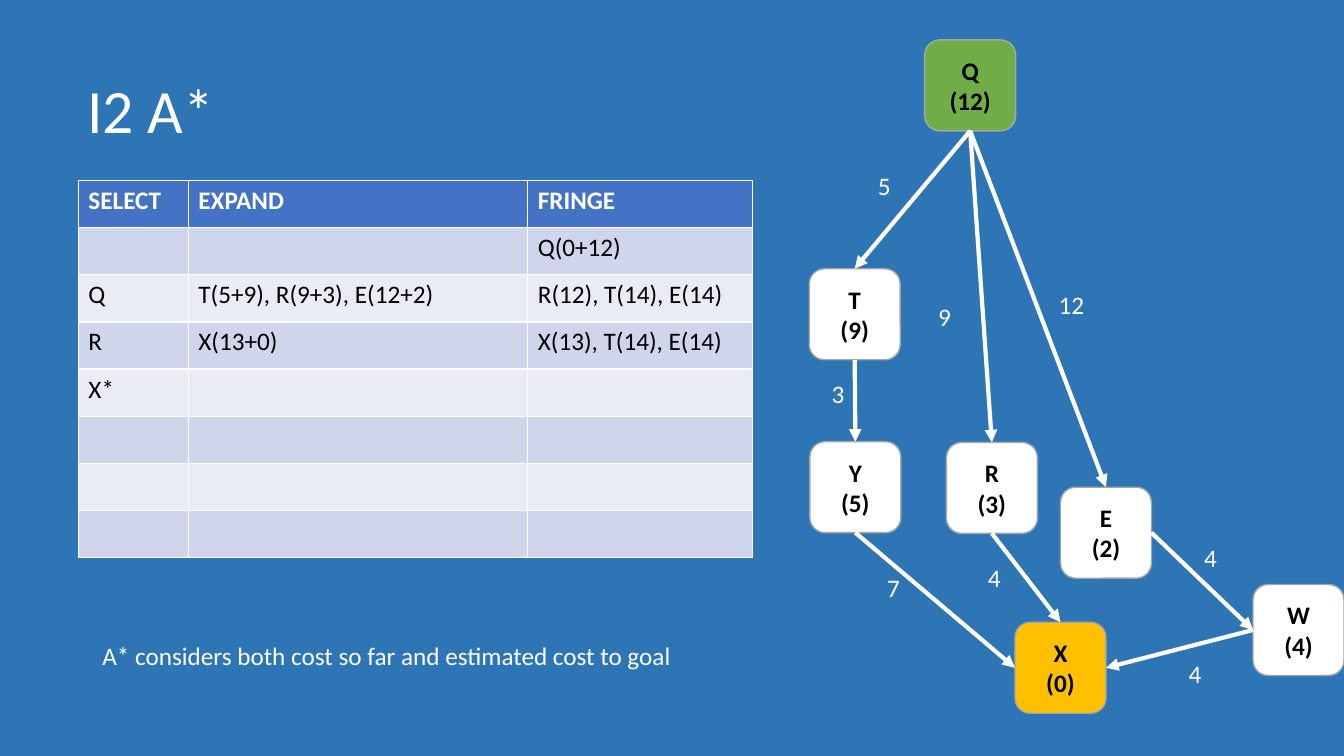
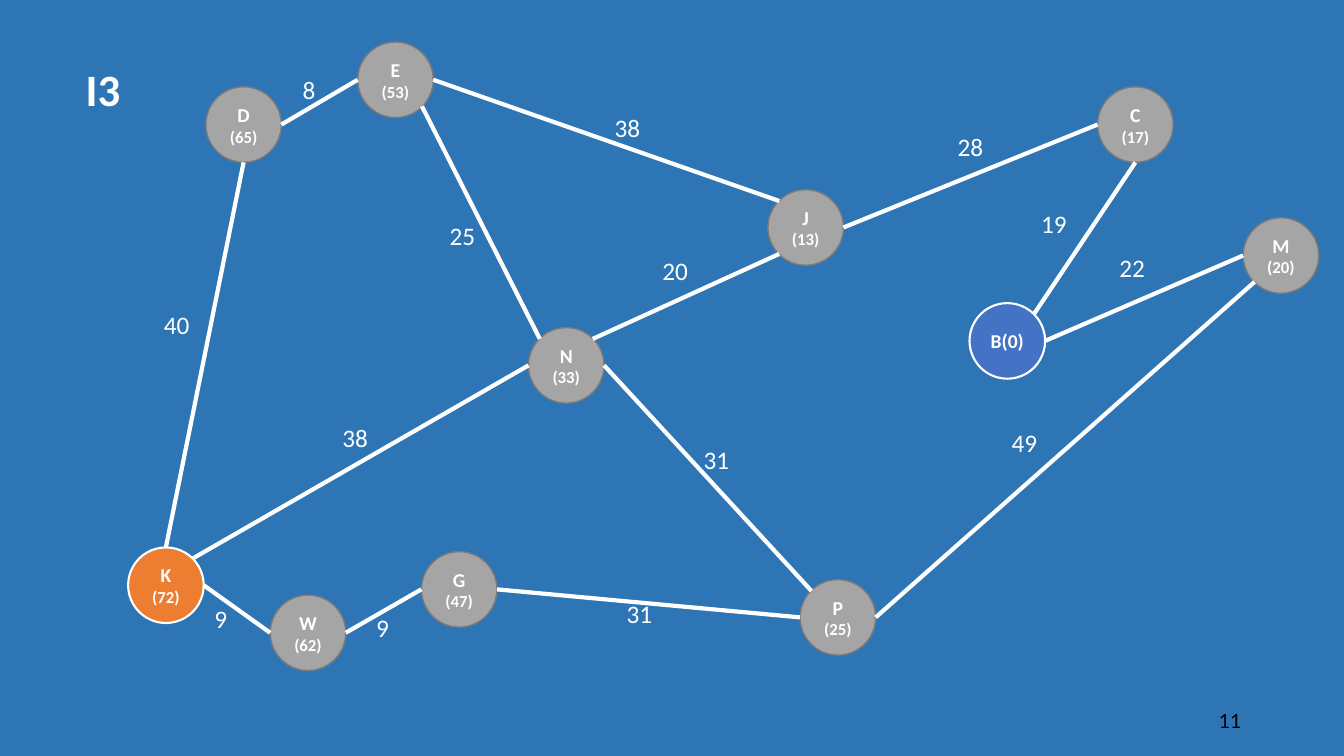
from dataclasses import dataclass

from lxml.etree import SubElement
from pptx import Presentation
from pptx.dml.color import RGBColor as Rgb
from pptx.enum.shapes import MSO_CONNECTOR as Connector, MSO_SHAPE as Preset
from pptx.enum.text import MSO_ANCHOR as Anchor, MSO_AUTO_SIZE as AutoSize, PP_ALIGN as Align
from pptx.oxml.ns import qn
from pptx.util import Pt


@dataclass(frozen=True)
class Theme:
    font: str = "Calibri"
    number_font: str = "Lato"
    background: Rgb = Rgb(0x2E, 0x75, 0xB6)
    white: Rgb = Rgb(0xFF, 0xFF, 0xFF)
    black: Rgb = Rgb(0x00, 0x00, 0x00)
    blue: Rgb = Rgb(0x44, 0x72, 0xC4)
    green: Rgb = Rgb(0x70, 0xAD, 0x47)
    gold: Rgb = Rgb(0xFF, 0xC0, 0x00)
    orange: Rgb = Rgb(0xED, 0x7D, 0x31)
    gray: Rgb = Rgb(0xA5, 0xA5, 0xA5)
    dark_gray: Rgb = Rgb(0x7A, 0x7A, 0x7A)
    row_bands: tuple = (Rgb(0xE9, 0xEB, 0xF5), Rgb(0xCF, 0xD5, 0xEA))
    body: int = 18
    node: int = 14
    estimate: int = 12
    edge: int = 3


theme = Theme()


def style_runs(frame, size, color, bold=False, align=Align.LEFT, font=theme.font):
    for paragraph in frame.paragraphs:
        paragraph.alignment = align
        for run in paragraph.runs:
            run.font.name, run.font.size, run.font.bold = font, Pt(size), bold
            run.font.color.rgb = color


def add_text(slide, text, left, top, width, height=29):
    frame = slide.shapes.add_textbox(Pt(left), Pt(top), Pt(width), Pt(height)).text_frame
    frame.text = text
    frame.word_wrap = False
    style_runs(frame, theme.body, theme.white)
    return frame


# Connection sites: position as a share of the node box, and order per outline
sites = {
    "top": (0.5, 0), "left": (0, 0.5), "bottom": (0.5, 1), "right": (1, 0.5),
    "top left": (0.15, 0.15), "bottom left": (0.15, 0.85),
    "bottom right": (0.85, 0.85), "top right": (0.85, 0.15),
}
site_order = {
    Preset.ROUNDED_RECTANGLE: ["top", "left", "bottom", "right"],
    Preset.OVAL: ["top", "top left", "left", "bottom left",
                  "bottom", "bottom right", "right", "top right"],
}

# Graphs: nodes as name: (estimate, left, top),
# edges as from, site, to, site, cost, label left, label top
astar_graph = dict(
    title="I2 A*", title_box=(55, 29, 484.5, 104.5), title_size=44, title_bold=False,
    outline=Preset.ROUNDED_RECTANGLE, node_size=65, arrows=True,
    text_color=theme.black, name_size=theme.body, estimate_size=theme.body,
    plain=(theme.white, theme.gray, 1),
    special={"Q": (theme.green, theme.gray, 1), "X": (theme.gold, theme.gray, 1)},
    nodes={
        "Q": (12, 660.5, 28.5), "T": (9, 578, 192), "Y": (5, 578.5, 315.5),
        "R": (3, 676, 316), "E": (2, 757.5, 348), "W": (4, 895, 417.5),
        "X": (0, 725, 444.5),
    },
    edges=[
        ("Q", "bottom", "T", "top", 5, 620, 118),
        ("Q", "bottom", "E", "top", 12, 749, 203),
        ("Q", "bottom", "R", "top", 9, 663, 212),
        ("T", "bottom", "Y", "top", 3, 587, 267),
        ("Y", "bottom", "X", "left", 7, 626.5, 405.5),
        ("R", "bottom", "X", "top", 4, 698.5, 398),
        ("E", "right", "W", "left", 4, 853, 384),
        ("W", "left", "X", "right", 4, 842, 466.5),
    ],
)
route_graph = dict(
    title="I3", title_box=(54, 42.5, 90, 46), title_size=32, title_bold=True,
    outline=Preset.OVAL, node_size=54, arrows=False,
    text_color=theme.white, name_size=theme.node, estimate_size=theme.estimate,
    plain=(theme.gray, theme.dark_gray, 1),
    special={"K": (theme.orange, theme.white, 1.5), "B(0)": (theme.blue, theme.white, 1.5)},
    nodes={
        "K": (72, 91.5, 391), "J": (13, 548.5, 135.5), "E": (53, 255.5, 30),
        "B(0)": (None, 692.5, 216.5), "P": (25, 571.5, 414), "C": (17, 784, 62),
        "N": (33, 377.5, 234), "D": (65, 147, 62), "G": (47, 301, 394),
        "M": (20, 888, 155.5), "W": (62, 193, 425),
    },
    edges=[
        ("K", "top", "D", "bottom", 40, 110, 217.5),
        ("K", "right", "W", "left", 9, 146, 427.5),
        ("K", "top right", "N", "left", 38, 237.5, 298),
        ("W", "right", "G", "left", 9, 261.5, 433.5),
        ("D", "right", "E", "left", 8, 209, 49.5),
        ("E", "right", "J", "top left", 38, 432, 77),
        ("E", "bottom right", "N", "top left", 25, 314, 153.5),
        ("G", "right", "P", "left", 31, 440.5, 423.5),
        ("P", "right", "M", "bottom left", 49, 715.5, 301.5),
        ("M", "left", "B(0)", "right", 22, 792.5, 177),
        ("J", "right", "C", "left", 28, 677, 90.5),
        ("C", "bottom", "B(0)", "top right", 19, 736.5, 145.5),
        ("N", "right", "P", "top left", 31, 495.5, 314),
        ("N", "top right", "J", "bottom left", 20, 466, 179),
    ],
)

deck = Presentation()
deck.slide_width, deck.slide_height = Pt(960), Pt(540)
backdrop = deck.slide_master.background.fill
backdrop.solid()
backdrop.fore_color.rgb = theme.background

for graph in (astar_graph, route_graph):
    slide = deck.slides.add_slide(deck.slide_layouts[5])

    # Title
    title = slide.shapes.title
    title.left, title.top, title.width, title.height = map(Pt, graph["title_box"])
    title.text_frame.text = graph["title"]
    title.text_frame.auto_size = AutoSize.NONE
    title.text_frame.vertical_anchor = Anchor.MIDDLE
    title.text_frame.paragraphs[0].line_spacing = 0.9
    style_runs(title.text_frame, graph["title_size"], theme.white, graph["title_bold"])

    # Nodes
    placed = {}
    size = Pt(graph["node_size"])
    for name, (estimate, left, top) in graph["nodes"].items():
        node = slide.shapes.add_shape(graph["outline"], Pt(left), Pt(top), size, size)
        fill, line, line_width = graph["special"].get(name, graph["plain"])
        node.shadow.inherit = False
        node.fill.solid()
        node.fill.fore_color.rgb = fill
        node.line.color.rgb = line
        node.line.width = Pt(line_width)
        frame = node.text_frame
        frame.text = name if estimate is None else f"{name}\n({estimate})"
        frame.vertical_anchor = Anchor.MIDDLE
        frame.margin_left = frame.margin_right = 0
        style_runs(frame, graph["name_size"], graph["text_color"], True, Align.CENTER)
        if estimate is not None:
            frame.paragraphs[1].runs[0].font.size = Pt(graph["estimate_size"])
        placed[name] = node

    # Edges, glued to their nodes, with costs
    order = site_order[graph["outline"]]
    for start, start_site, end, end_site, cost, left, top in graph["edges"]:
        ends = [(placed[start], start_site), (placed[end], end_site)]
        points = [round(value) for node, site in ends for value in
                  (node.left + sites[site][0] * size, node.top + sites[site][1] * size)]
        edge = slide.shapes.add_connector(Connector.STRAIGHT, *points)
        edge.line.color.rgb = theme.white
        edge.line.width = Pt(theme.edge)
        glue = edge._element.nvCxnSpPr.cNvCxnSpPr
        for tag, (node, site) in zip(("a:stCxn", "a:endCxn"), ends):
            SubElement(glue, qn(tag), id=str(node.shape_id), idx=str(order.index(site)))
        if graph["arrows"]:
            SubElement(edge.line._get_or_add_ln(), qn("a:tailEnd"), type="triangle")
        SubElement(edge._element.spPr, qn("a:effectLst"))
        add_text(slide, str(cost), left, top, 24 if cost < 10 else 32.5)

astar_slide, route_slide = deck.slides

# Search steps table
steps = [
    ("SELECT", "EXPAND", "FRINGE"),
    ("", "", "Q(0+12)"),
    ("Q", "T(5+9), R(9+3), E(12+2)", "R(12), T(14), E(14)"),
    ("R", "X(13+0)", "X(13), T(14), E(14)"),
    ("X*", "", ""),
    ("", "", ""),
    ("", "", ""),
    ("", "", ""),
]
column_widths = (78.5, 242.5, 160.5)
row_height = 33.65
steps_table = astar_slide.shapes.add_table(
    len(steps), len(column_widths), Pt(56), Pt(129),
    Pt(sum(column_widths)), Pt(row_height * len(steps))).table
for column, width in zip(steps_table.columns, column_widths):
    column.width = Pt(width)
for row_index, step in enumerate(steps):
    steps_table.rows[row_index].height = Pt(row_height)
    header = row_index == 0
    for column_index, text in enumerate(step):
        cell = steps_table.cell(row_index, column_index)
        cell.text_frame.text = text
        cell.fill.solid()
        cell.fill.fore_color.rgb = theme.blue if header else theme.row_bands[row_index % 2]
        style_runs(cell.text_frame, theme.body, theme.white if header else theme.black, header)

# Takeaway
add_text(astar_slide, "A* considers both cost so far and estimated cost to goal", 66, 453.5, 434)

# Slide number
number = add_text(route_slide, "11", 678, 500.5, 216)
number.word_wrap = True
number.vertical_anchor = Anchor.MIDDLE
style_runs(number, theme.node, theme.black, align=Align.RIGHT, font=theme.number_font)

deck.save("out.pptx")
